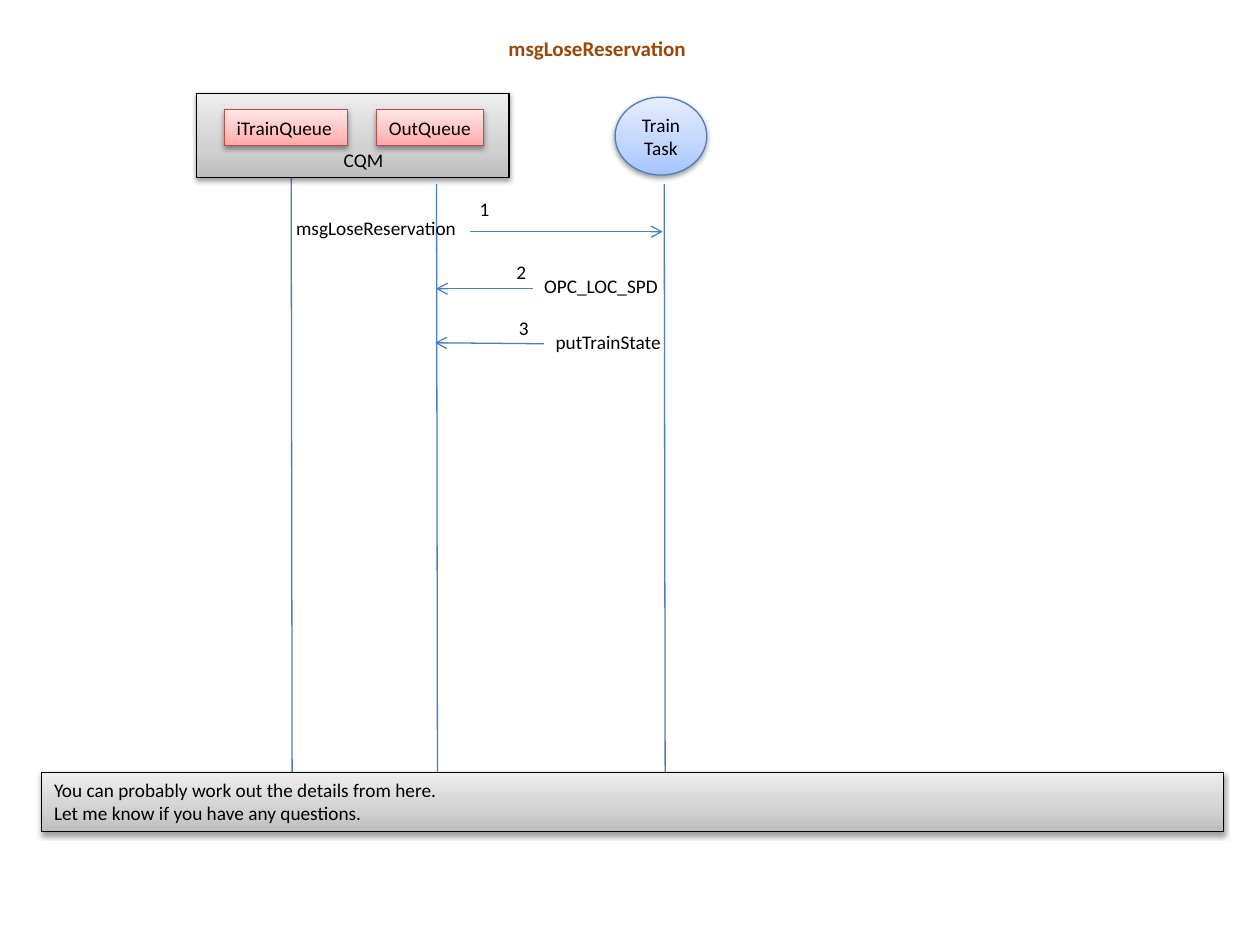
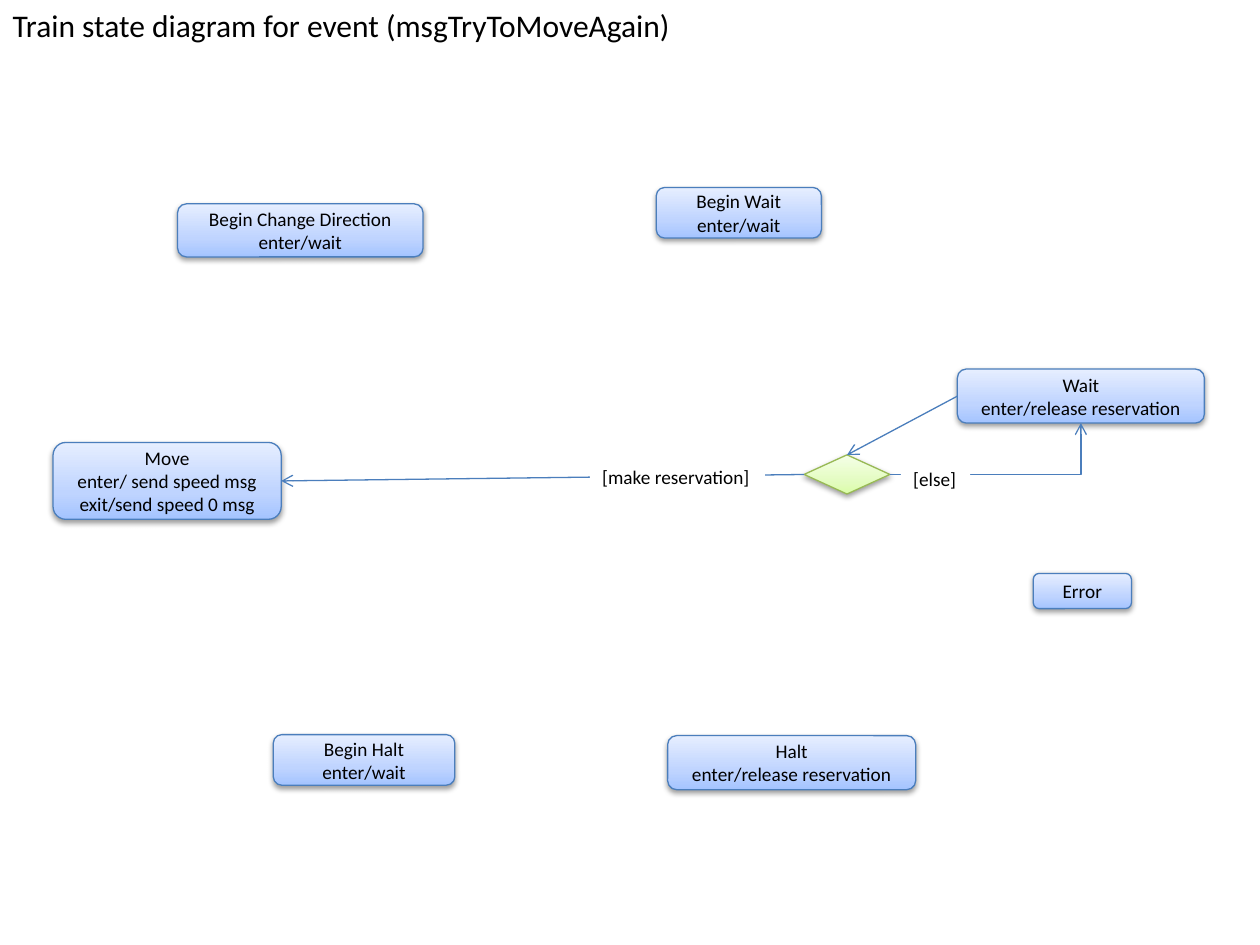
from copy import deepcopy

from lxml.etree import SubElement
from pptx import Presentation
from pptx.dml.color import RGBColor
from pptx.enum.shapes import MSO_CONNECTOR as Wire, MSO_SHAPE as Kind
from pptx.enum.text import MSO_ANCHOR as Anchor, MSO_AUTO_SIZE as Auto, PP_ALIGN as Align
from pptx.oxml.ns import qn
from pptx.util import Cm, Pt

FONT = "Calibri"
BLACK = RGBColor(0x00, 0x00, 0x00)
WHITE = RGBColor(0xFF, 0xFF, 0xFF)
BROWN = RGBColor(0x98, 0x48, 0x07)
EDGE = RGBColor(0x4B, 0x7E, 0xBC)

# Each paint: line colour, then gradient colours from bottom to top
BLUE = (EDGE, RGBColor(0xA4, 0xC4, 0xFF), RGBColor(0xBF, 0xD4, 0xFF), RGBColor(0xE6, 0xEE, 0xFF))
RED = (RGBColor(0xBF, 0x4C, 0x48), RGBColor(0xFF, 0xA6, 0xA5),
       RGBColor(0xFF, 0xC0, 0xBF), RGBColor(0xFF, 0xE7, 0xE7))
GREY = (BLACK, RGBColor(0xBD, 0xBD, 0xBD), RGBColor(0xD1, 0xD1, 0xD1), RGBColor(0xEE, 0xEE, 0xEE))
GREEN = (RGBColor(0x98, 0xB9, 0x55), RGBColor(0xDA, 0xFD, 0xA7),
         RGBColor(0xE4, 0xFC, 0xC2), RGBColor(0xF5, 0xFF, 0xE7))
STOPS = (0, 0.35, 1)
ROW = 0.73  # height of a one-line label


def box(slide, area, text="", paint=None, kind=None, label=False):
    """Add a painted shape, or a plain text box when no kind is given."""
    spot = [Cm(n) for n in area]
    if kind is None:
        shape = slide.shapes.add_textbox(*spot)
    else:
        shape = slide.shapes.add_shape(kind, *spot)
        shape.shadow.inherit = False
    if paint:
        edge, *tones = paint
        shape.line.color.rgb = edge
        shape.line.width = Pt(0.75)
        shape.fill.gradient()
        shape.fill.gradient_angle = 90
        stops = shape.element.spPr.find(".//" + qn("a:gsLst"))
        stops.append(deepcopy(stops[0]))
        for stop, tone, place in zip(shape.fill.gradient_stops, tones, STOPS):
            stop.color.rgb = tone
            stop.position = place
        # Soft shadow below the shape
        glow = SubElement(shape.element.spPr.find(qn("a:effectLst")), qn("a:outerShdw"),
                          blurRad="40000", dist="20000", dir="5400000", rotWithShape="0")
        dark = SubElement(glow, qn("a:srgbClr"), val=str(BLACK))
        SubElement(dark, qn("a:alpha"), val="38000")
    if text:
        frame = shape.text_frame
        frame.text = text
        frame.word_wrap = not label
        frame.vertical_anchor = Anchor.TOP if label else Anchor.MIDDLE
        for para in frame.paragraphs:
            para.alignment = Align.LEFT if label else Align.CENTER
            para.font.name = FONT
            para.font.size = Pt(11)
            para.font.color.rgb = BLACK
    return shape


def link(slide, ends, arrow=True, wire=Wire.STRAIGHT):
    """Add a thin blue line from (x, y) to (x, y)."""
    line = slide.shapes.add_connector(wire, *[Cm(n) for n in ends])
    line.line.color.rgb = EDGE
    line.line.width = Pt(0.75)
    SubElement(line.element.spPr, qn("a:effectLst"))
    if arrow:
        SubElement(line.element.spPr.find(qn("a:ln")), qn("a:tailEnd"), type="arrow")
    return line


deck = Presentation()
deck.slide_width, deck.slide_height = Cm(25.4), Cm(19.05)

# Slides with their titles
heads = [
    ("msgLoseReservation", (7.57, 0.58, 8.94, 0.76), 12, BROWN, True, Align.CENTER),
    ("Train state diagram for event (msgTryToMoveAgain)", (0, 0, 13.92, 1.02), 18, BLACK, False,
     Align.LEFT),
]
for text, area, size, tone, bold, align in heads:
    title = deck.slides.add_slide(deck.slide_layouts[5]).shapes.title
    title.left, title.top, title.width, title.height = [Cm(n) for n in area]
    frame = title.text_frame
    frame.text = text
    frame.auto_size = Auto.NONE
    frame.word_wrap = bold
    frame.vertical_anchor = Anchor.TOP
    para = frame.paragraphs[0]
    para.alignment = align
    font = para.runs[0].font
    font.name, font.size, font.bold = FONT, Pt(size), bold
    font.color.rgb = tone
chart, state = deck.slides

# Sequence chart: lifelines
for x, top in ((5.87, 3.58), (8.8, 3.71), (13.39, 3.71)):
    link(chart, (x, top, x + 0.02, top + 12.7), arrow=False)

# Sequence chart: queues and task
box(chart, (3.96, 1.88, 6.3, 1.7), paint=GREY, kind=Kind.RECTANGLE)
box(chart, (4.52, 2.21, 2.49, ROW), "iTrainQueue", RED, Kind.RECTANGLE, True)
box(chart, (7.59, 2.21, 2.16, ROW), "OutQueue", RED, Kind.RECTANGLE, True)
box(chart, (6.68, 2.87, 1.32, ROW), "CQM", label=True)
task = box(chart, (12.4, 1.96, 1.85, 1.57), "Train\nTask", BLUE, Kind.FLOWCHART_CONNECTOR)
task.text_frame.word_wrap = False

# Sequence chart: closing note
note = box(chart, (0.84, 15.57, 23.83, 1.19),
           "You can probably work out the details from here.\n"
           "Let me know if you have any questions.", GREY, Kind.RECTANGLE, True)
note.text_frame.word_wrap = True

# Sequence chart: messages as name, left, top, width, number spot, arrow
calls = [
    ("msgLoseReservation", 5.72, 4.24, 3.76, (9.42, 3.86), (9.47, 4.67, 13.36, 4.67)),
    ("OPC_LOC_SPD", 10.72, 5.41, 2.82, (10.16, 5.13), (10.74, 5.82, 8.79, 5.82)),
    ("putTrainState", 10.95, 6.53, 2.69, (10.21, 6.25), (10.97, 6.93, 8.77, 6.91)),
]
for step, (name, x, y, wide, spot, ends) in enumerate(calls, 1):
    box(chart, (x, y, wide, ROW), name, label=True)
    link(chart, ends)
    box(chart, (*spot, 0.71, ROW), str(step), label=True)

# State diagram: states
states = {
    "Move\nenter/ send speed msg\nexit/send speed 0 msg": (1.07, 8.92, 4.6, 1.55),
    "Error": (20.83, 11.56, 1.98, 0.71),
    "Wait\nenter/release reservation": (19.3, 7.44, 4.98, 1.09),
    "Halt\nenter/release reservation": (13.46, 14.83, 5, 1.09),
    "Begin Wait\nenter/wait": (13.23, 3.78, 3.33, 1.02),
    "Begin Change Direction\nenter/wait": (3.58, 4.11, 4.95, 1.07),
    "Begin Halt\nenter/wait": (5.51, 14.81, 3.66, 1.02),
}
nodes = {}
for text, area in states.items():
    nodes[text.split("\n")[0]] = box(state, area, text, BLUE, Kind.ROUNDED_RECTANGLE)
fork = box(state, (16.21, 9.17, 1.73, 0.79), paint=GREEN, kind=Kind.FLOWCHART_DECISION)

# State diagram: moves between states
moves = [
    (nodes["Wait"], 1, fork, 0, (19.3, 7.99, 17.08, 9.17), Wire.STRAIGHT),
    (fork, 3, nodes["Wait"], 2, (17.94, 9.57, 21.79, 8.53), Wire.ELBOW),
    (fork, 1, nodes["Move"], 3, (16.21, 9.57, 5.67, 9.7), Wire.STRAIGHT),
]
for start, out, goal, into, ends, wire in moves:
    move = link(state, ends, wire=wire)
    move.begin_connect(start, out)
    move.end_connect(goal, into)
    if wire == Wire.ELBOW:  # one corner only
        move.element.spPr.find(qn("a:prstGeom")).set("prst", "bentConnector2")

# State diagram: conditions on white
for text, area in (("[make reservation]", (11.89, 9.25, 3.53, ROW)),
                   ("[else]", (18.16, 9.3, 1.4, ROW))):
    guard = box(state, area, text, kind=Kind.RECTANGLE, label=True)
    guard.fill.solid()
    guard.fill.fore_color.rgb = WHITE
    guard.line.fill.background()

deck.save("out.pptx")
